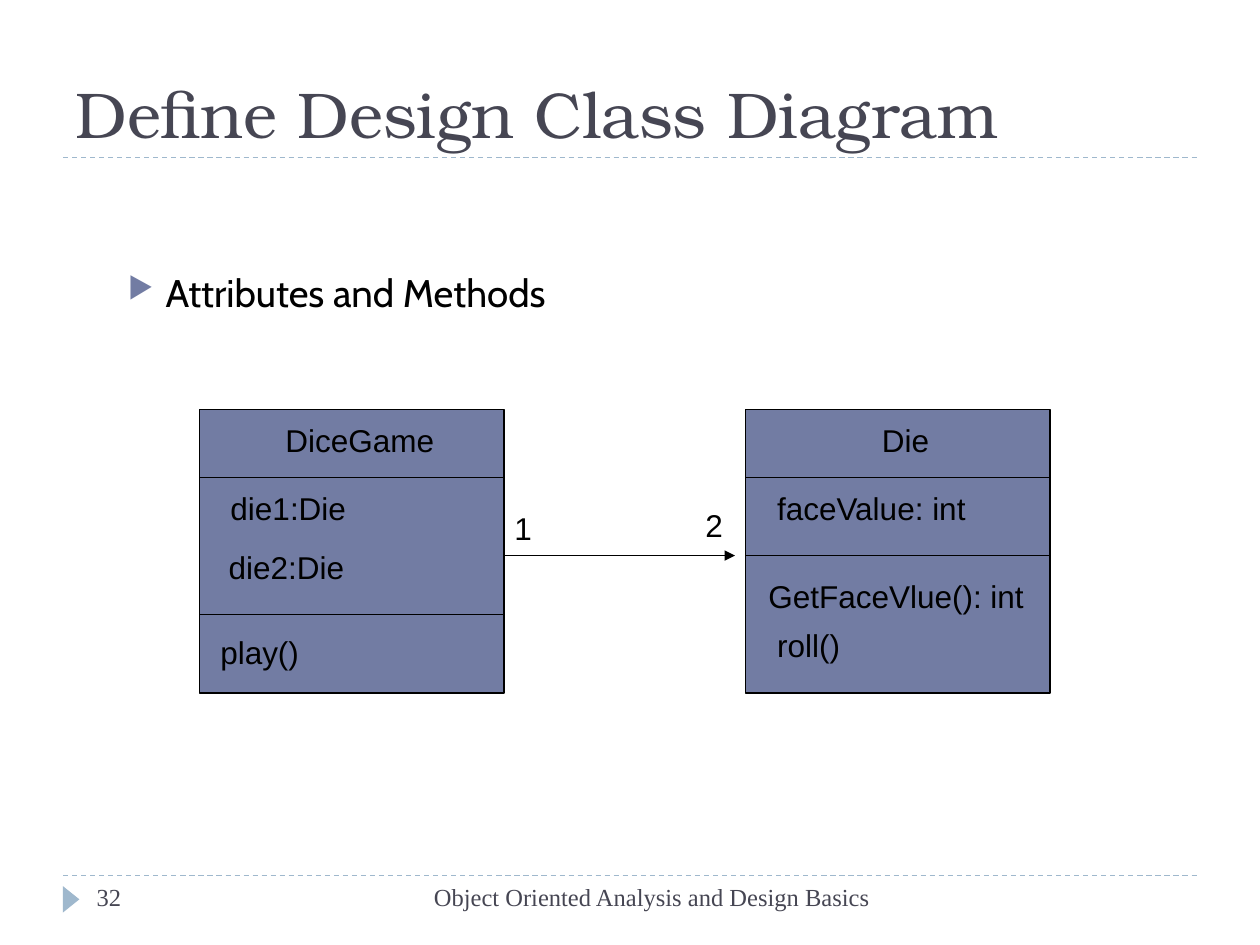
"""Build the design class diagram slide."""
import pptx
import pptx.util
import pptx.dml.color
import pptx.enum.dml
import pptx.enum.shapes
import pptx.enum.text
import pptx.oxml
from dataclasses import dataclass

Pt = pptx.util.Pt
SHAPE = pptx.enum.shapes.MSO_SHAPE
FIT = pptx.enum.text.MSO_AUTO_SIZE
ALIGN = pptx.enum.text.PP_ALIGN
ANCHOR = pptx.enum.text.MSO_ANCHOR


@dataclass(frozen=True)
class Theme:
    ink: str = "000000"
    heading: str = "464653"
    accent: str = "727CA3"
    rule: str = "9FB8CD"
    line: float = 0.74
    title: tuple = (37, "TeX Gyre Bonum")
    body: tuple = (22, "Cabin")
    label: tuple = (18, "Arial")
    footer: tuple = (14, "Times New Roman")
    bullet: str = "OpenSymbol"


T = Theme()
TITLE = "Define Design Class Diagram"
BULLET = "Attributes and Methods"
FOOTERS = [
    ("Object Oriented Analysis and Design Basics", 228.2, 276, ALIGN.RIGHT),
    ("32", 48.2, 156, ALIGN.LEFT),
]
RULES = [500.4, 90]
BOX_TOP, BOX_W, BOX_H, LABEL_H = 234, 174, 162, 28.8
CLASSES = [
    {"left": 114, "dividers": [273, 351], "labels": [
        ("DiceGame", 156, 237, 100.5), ("die1:Die", 124.6, 276, 81.5),
        ("die2:Die", 123.6, 309.6, 81.5), ("play()", 118.8, 358, 60.5)]},
    {"left": 426, "dividers": [273, 317.5], "labels": [
        ("Die", 496.8, 237, 42.5), ("faceValue: int", 437, 276, 124),
        ("GetFaceVlue(): int", 432, 326.2, 161.5), ("roll()", 437, 354.2, 51.5)]},
]
ARROW = (288, 420, 317.5)
MULTIPLICITIES = [("1", 286.8, 287.3, 25), ("2", 396, 285.4, 25)]


def rgb(value):
    return pptx.dml.color.RGBColor.from_string(value)


def element(parent, tag, **attrs):
    el = parent.makeelement(pptx.oxml.ns.qn(tag), attrs)
    parent.append(el)
    return el


def add_line(shapes, x1, x2, y, color=T.ink):
    c = shapes.add_connector(pptx.enum.shapes.MSO_CONNECTOR.STRAIGHT,
                             Pt(x1), Pt(y), Pt(x2), Pt(y))
    c.line.width = Pt(T.line)
    c.line.color.rgb = rgb(color)
    element(c._element.spPr, "a:effectLst")
    return c


def add_filled(shapes, kind, left, top, width, height, fill):
    sp = shapes.add_shape(kind, Pt(left), Pt(top), Pt(width), Pt(height))
    sp.shadow.inherit = False
    sp.fill.solid()
    sp.fill.fore_color.rgb = rgb(fill)
    return sp


def write(tf, text, font, color, align=ALIGN.LEFT):
    p = tf.paragraphs[0]
    p.alignment = align
    r = p.add_run()
    r.text = text
    r.font.size, r.font.name = Pt(font[0]), font[1]
    r.font.color.rgb = rgb(color)
    return p


def add_text(shapes, text, left, top, width, height, font, color,
             align=ALIGN.LEFT, wrap=True):
    sp = shapes.add_textbox(Pt(left), Pt(top), Pt(width), Pt(height))
    tf = sp.text_frame
    tf.word_wrap = wrap
    tf.auto_size = FIT.NONE if wrap else FIT.SHAPE_TO_FIT_TEXT
    return write(tf, text, font, color, align)


def add_labels(shapes, labels):
    for text, left, top, width in labels:
        add_text(shapes, text, left, top, width, LABEL_H, T.label, T.ink, wrap=False)


prs = pptx.Presentation()
prs.slide_width, prs.slide_height = Pt(720), Pt(540)
s = prs.slides.add_slide(prs.slide_layouts[5])

for y in RULES:
    rule = add_line(s.shapes, 36, 684, y, T.rule)
    rule.line.dash_style = pptx.enum.dml.MSO_LINE.DASH
marker = add_filled(s.shapes, SHAPE.ISOSCELES_TRIANGLE, 33.1, 509.2, 15.1, 9.4, T.rule)
marker.rotation = 90
marker.line.fill.background()
for text, left, width, align in FOOTERS:
    add_text(s.shapes, text, left, 500.4, width, LABEL_H, T.footer, T.heading, align)

title = s.shapes.title
title.left, title.top, title.width, title.height = Pt(36), Pt(12), Pt(648), Pt(78)
title.text_frame.auto_size = FIT.NONE
title.text_frame.vertical_anchor = ANCHOR.BOTTOM
write(title.text_frame, TITLE, T.title, T.heading)

p = add_text(s.shapes, BULLET, 66, 150, 612, 60, T.body, T.ink)
p.space_before = Pt(6)
pPr = p._p.get_or_add_pPr()
pPr.set("marL", str(Pt(21.6)))
pPr.set("indent", str(Pt(-21.6)))
element(element(pPr, "a:buClr"), "a:srgbClr", val=T.accent)
element(pPr, "a:buSzPct", val="76000")
element(pPr, "a:buFont", typeface=T.bullet)
element(pPr, "a:buChar", char="\u25b6")

diagram = s.shapes.add_group_shape().shapes
for cls in CLASSES:
    box = add_filled(diagram, SHAPE.RECTANGLE, cls["left"], BOX_TOP, BOX_W, BOX_H, T.accent)
    box.line.color.rgb = rgb(T.ink)
    box.line.width = Pt(T.line)
    for y in cls["dividers"]:
        add_line(diagram, cls["left"], cls["left"] + BOX_W, y)
    add_labels(diagram, cls["labels"])
arrow = add_line(diagram, *ARROW)
element(arrow.line._get_or_add_ln(), "a:tailEnd", type="triangle")
add_labels(diagram, MULTIPLICITIES)

prs.save("out.pptx")
